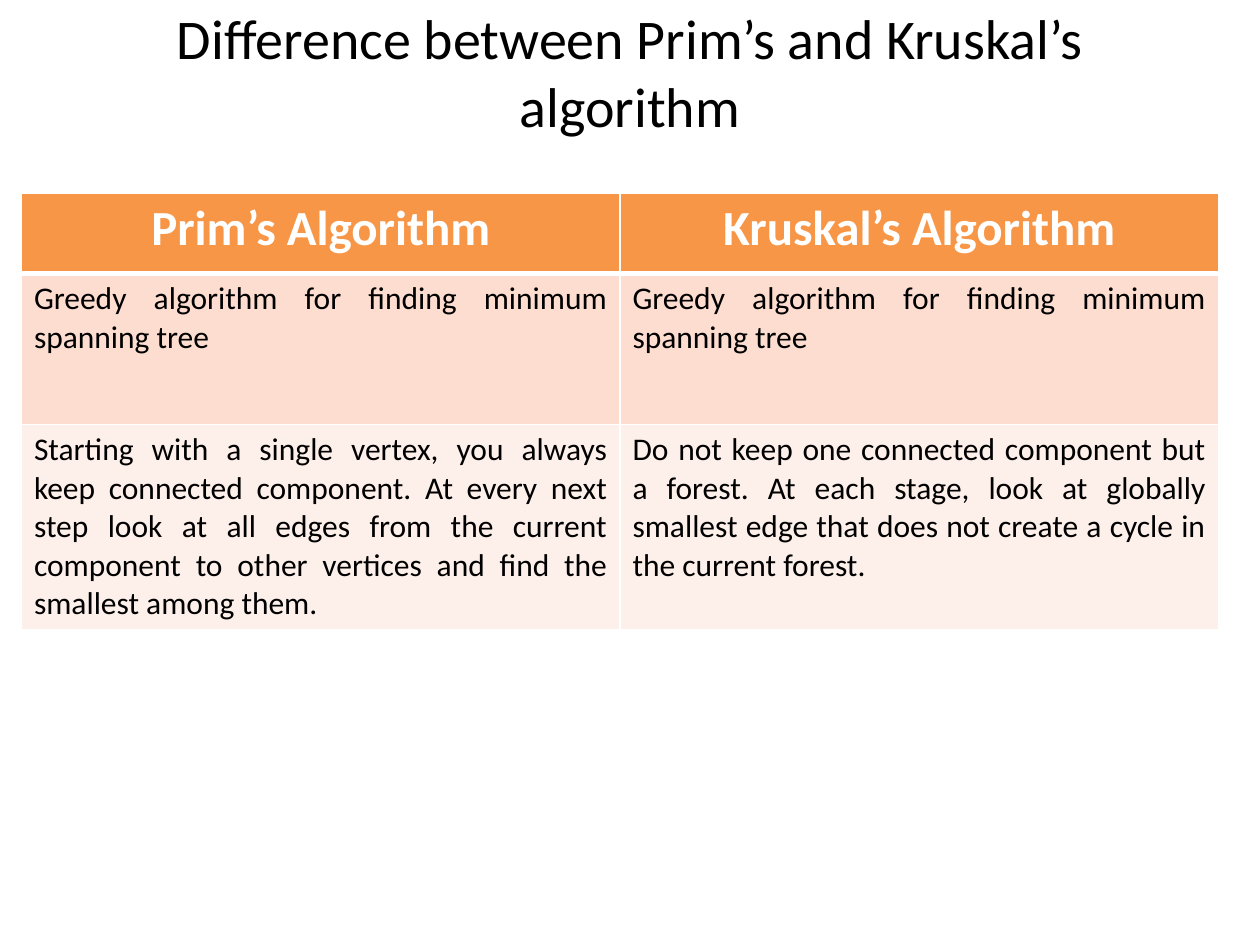
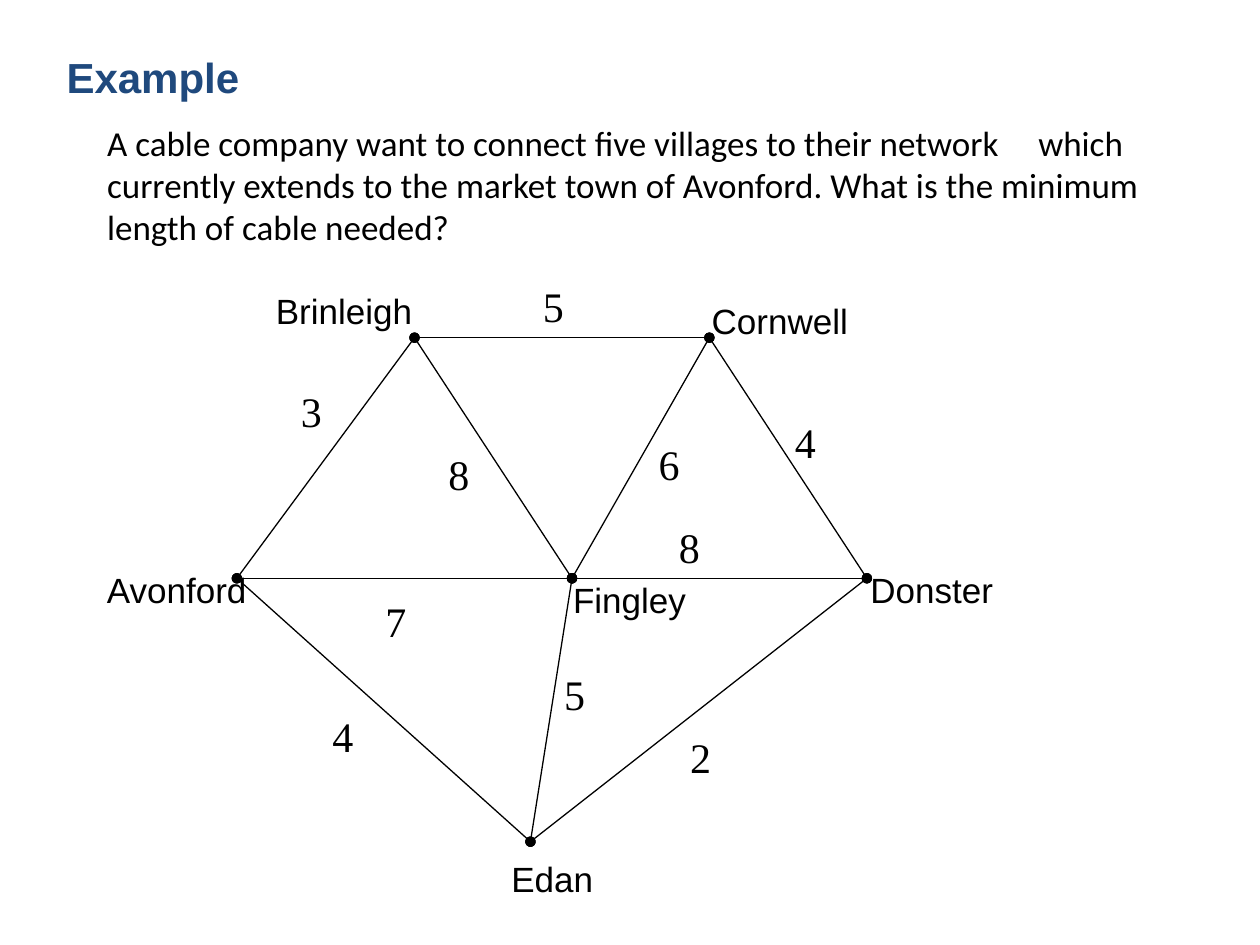
from lxml import etree
from pptx import Presentation
from pptx.dml.color import RGBColor
from pptx.enum.shapes import MSO_CONNECTOR
from pptx.enum.text import MSO_ANCHOR, MSO_AUTO_SIZE, PP_ALIGN
from pptx.oxml.ns import qn
from pptx.util import Inches, Pt

LEFT, CENTER, JUSTIFY = PP_ALIGN.LEFT, PP_ALIGN.CENTER, PP_ALIGN.JUSTIFY
MIDDLE = MSO_ANCHOR.MIDDLE
STRAIGHT = MSO_CONNECTOR.STRAIGHT
TITLE_ONLY = 5

BLACK, WHITE, NAVY = "000000", "FFFFFF", "1F497D"
ORANGE, PEACH, CREAM = "F79646", "FCDDCF", "FDEFE9"
BODY, LABEL, FIGURE = "Calibri", "Arial", "Times New Roman"

COMPARISON = [
    ("Prim’s Algorithm", "Kruskal’s Algorithm"),
    ("Greedy algorithm for finding minimum spanning tree",) * 2,
    ("Starting with a single vertex, you always keep connected component. "
     "At every next step look at all edges from the current component to "
     "other vertices and find the smallest among them.",
     "Do not keep one connected component but a forest. At each stage, look "
     "at globally smallest edge that does not create a cycle in the current "
     "forest. "),
]
ROW_HEIGHTS = [0.64, 1.2, 1.6]
ROW_FILLS = [ORANGE, PEACH, CREAM]

# The network lies on a grid of half-inch cells.
CELL = 0.5
LABEL_ROWS = 0.86
# village: (dot column, dot row, label column, label row, label columns)
VILLAGES = {
    "Avonford": (2.26, 4.82, 0, 4.56, 2.68),
    "Fingley": (7.58, 4.82, 7.4, 4.72, 2.32),
    "Brinleigh": (5.08, 1, 2.68, 0.14, 2.58),
    "Cornwell": (9.76, 1, 9.6, 0.3, 2.84),
    "Donster": (12.26, 4.82, 12.12, 4.56, 3.02),
    "Edan": (6.92, 9, 6.42, 9.16, 2.08),
}
# (village, village, length, length column, length row)
CABLES = [
    ("Avonford", "Brinleigh", 3, 3.08, 1.66),
    ("Brinleigh", "Cornwell", 5, 6.92, 0),
    ("Cornwell", "Donster", 4, 10.92, 2.16),
    ("Avonford", "Fingley", 7, 4.42, 5),
    ("Fingley", "Donster", 8, 9.08, 3.82),
    ("Brinleigh", "Fingley", 8, 5.42, 2.66),
    ("Fingley", "Cornwell", 6, 8.76, 2.5),
    ("Avonford", "Edan", 4, 3.58, 6.82),
    ("Edan", "Fingley", 5, 7.26, 6.16),
    ("Edan", "Donster", 2, 9.26, 7.16),
]


def rgb(color):
    return RGBColor.from_string(color)


def write(tf, text, size=20, font=BODY, color=BLACK, bold=False, align=LEFT):
    p = tf.paragraphs[0]
    p.alignment = align
    r = p.add_run()
    r.text = text
    r.font.size, r.font.name, r.font.bold = Pt(size), font, bold
    r.font.color.rgb = rgb(color)
    return p


def add_label(s, text, box, wrap=True, **fmt):
    tf = s.shapes.add_textbox(*map(Inches, box)).text_frame
    tf.word_wrap = wrap
    write(tf, text, **fmt)


def set_title(s, text, box, **fmt):
    sp = s.shapes.title
    sp.left, sp.top, sp.width, sp.height = map(Inches, box)
    tf = sp.text_frame
    tf.auto_size, tf.vertical_anchor = MSO_AUTO_SIZE.NONE, MIDDLE
    return write(tf, text, **fmt)


def set_borders(cell, bottom):
    tc_pr = cell._tc.get_or_add_tcPr()
    for side, width in (("L", 1), ("R", 1), ("T", 1), ("B", bottom)):
        ln = etree.SubElement(tc_pr, qn(f"a:ln{side}"), w=str(Pt(width)))
        fill = etree.SubElement(ln, qn("a:solidFill"))
        etree.SubElement(fill, qn("a:srgbClr"), val=WHITE)


def add_comparison(s, box):
    rows, cols = len(COMPARISON), len(COMPARISON[0])
    table = s.shapes.add_table(rows, cols, *map(Inches, box)).table
    for i, texts in enumerate(COMPARISON):
        table.rows[i].height = Inches(ROW_HEIGHTS[i])
        if i == 0:
            fmt = dict(size=28, color=WHITE, bold=True, align=CENTER)
        else:
            fmt = dict(size=18, align=JUSTIFY)
        for j, text in enumerate(texts):
            cell = table.cell(i, j)
            set_borders(cell, bottom=3 if i == 0 else 1)
            cell.fill.solid()
            cell.fill.fore_color.rgb = rgb(ROW_FILLS[i])
            write(cell.text_frame, text, **fmt)


def add_cable(s, start, end):
    """Draw a thin line with a dot at each end."""
    line = s.shapes.add_connector(STRAIGHT, *map(Inches, start + end))
    line.line.width = Pt(0.75)
    line.line.color.rgb = rgb(BLACK)
    for tag in ("a:headEnd", "a:tailEnd"):
        etree.SubElement(line.line._ln, qn(tag), type="oval")
    etree.SubElement(line._element.spPr, qn("a:effectLst"))


def add_network(s, left, top):
    def at(col, row):
        return left + col * CELL, top + row * CELL

    for a, b, _, _, _ in CABLES:
        add_cable(s, at(*VILLAGES[a][:2]), at(*VILLAGES[b][:2]))
    for name, (_, _, col, row, cols) in VILLAGES.items():
        box = (*at(col, row), cols * CELL, LABEL_ROWS * CELL)
        add_label(s, name, box, font=LABEL)
    for _, _, length, col, row in CABLES:
        box = (*at(col, row), CELL, CELL)
        add_label(s, str(length), box, size=24, font=FIGURE)


def build_comparison_slide(prs):
    s = prs.slides.add_slide(prs.slide_layouts[TITLE_ONLY])
    set_title(s, "Difference between Prim’s and Kruskal’s algorithm",
              (0.5, 0.3, 9, 0.53), size=32, align=CENTER)
    add_comparison(s, (0.17, 1.53, 9.5, sum(ROW_HEIGHTS)))


def build_example_slide(prs):
    s = prs.slides.add_slide(prs.slide_layouts[TITLE_ONLY])
    p = set_title(s, "A cable company want to connect five villages to their "
                  "network\twhich currently extends to the market town of "
                  "Avonford. What is the minimum length of cable needed?",
                  (0.75, 0.84, 8.5, 1.25))
    tabs = etree.SubElement(p._p.get_or_add_pPr(), qn("a:tabLst"))
    etree.SubElement(tabs, qn("a:tab"), pos=str(Inches(7.39)), algn="l")
    add_network(s, 0.75, 2.18)
    add_label(s, "Example", (0.43, 0.36, 1.57, 0.5), wrap=False,
              size=24, font=LABEL, color=NAVY, bold=True)


def main():
    prs = Presentation()
    prs.slide_width, prs.slide_height = Inches(10), Inches(7.5)
    build_comparison_slide(prs)
    build_example_slide(prs)
    prs.save("out.pptx")


if __name__ == "__main__":
    main()
